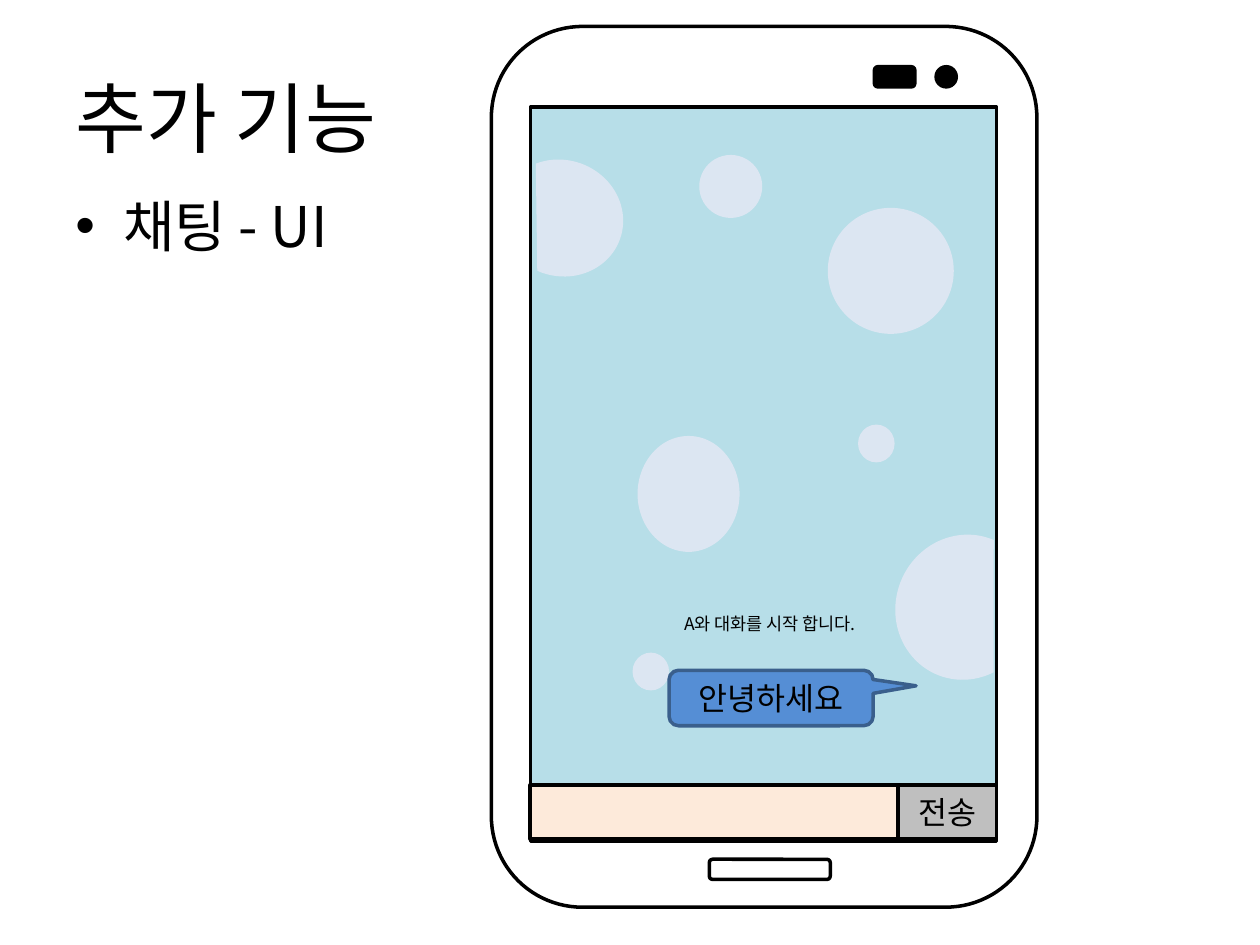
from pptx import Presentation
from pptx.dml.color import RGBColor
from pptx.enum.shapes import MSO_SHAPE as Kind
from pptx.enum.text import MSO_ANCHOR as Anchor, PP_ALIGN as Align
from pptx.oxml.ns import qn
from pptx.util import Inches, Pt
from lxml.etree import SubElement

THEME = {
    "font": "Noto Sans CJK KR",
    "ink": "000000", "paper": "FFFFFF", "sky": "B7DEE8", "bubble": "DCE6F2",
    "entry": "FDEADA", "send": "BFBFBF", "talk": "558ED5", "edge": "3A5F8C",
    "title": 44, "body": 32, "label": 18, "note": 10,
}

TITLE = ("추가 기능", (0.5, 0.3, 9, 1.25))
BODY = ("채팅 - UI", (0.5, 1.47, 9, 4.95))
NOTE = ("A와 대화를 시작 합니다.", (4.51, 4.82, 3.2, 0.27))

PHONE = [
    (Kind.ROUNDED_RECTANGLE, (3.9, 0.21, 4.33, 6.99), "paper", 2),
    (Kind.ROUNDED_RECTANGLE, (5.63, 6.82, 0.96, 0.16), "paper", 2),
    (Kind.OVAL, (7.43, 0.53, 0.16, 0.16), "ink", 2),
    (Kind.ROUNDED_RECTANGLE, (6.94, 0.53, 0.32, 0.16), "ink", 2),
    (Kind.RECTANGLE, (4.21, 0.85, 3.7, 5.83), "sky", 2),
    (Kind.RECTANGLE, (4.21, 6.23, 2.92, 0.43), "entry", 2.25),
]
BUBBLES = [
    (6.57, 1.65, 1, 1),
    (5.06, 3.46, 0.81, 0.92),
    (5.55, 1.23, 0.5, 0.5),
    (6.81, 3.37, 0.29, 0.3),
    (5.02, 5.18, 0.29, 0.3),
]
CUTS = [
    ((7.11, 4.24, 1.1, 1.16), 21.4, (27, 163.02)),
    ((3.96, 1.27, 0.99, 0.92), 199.9, (27, 164.72)),
]
SEND = ("전송", (7.13, 6.23, 0.78, 0.43))
TALK = ("안녕하세요", (5.31, 5.32, 1.62, 0.44), (0.71, -0.22, 0.17))


def color(name):
    return RGBColor.from_string(THEME[name])


def place(box):
    return [Inches(n) for n in box]


def write(shape, text, size, align=Align.LEFT, anchor=Anchor.MIDDLE, bullet=None):
    frame = shape.text_frame
    frame.word_wrap = True
    frame.vertical_anchor = anchor
    para = frame.paragraphs[0]
    para.text = text
    para.alignment = align
    if bullet:
        props = para._p.get_or_add_pPr()
        props.set("marL", str(Inches(0.38)))
        props.set("indent", str(-Inches(0.38)))
        SubElement(props, qn("a:buFont"), typeface="Arial")
        SubElement(props, qn("a:buChar"), char=bullet)
    font = para.font
    font.name = THEME["font"]
    font.size = Pt(THEME[size])
    font.color.rgb = color("ink")
    base = para._p.pPr.find(qn("a:defRPr"))
    SubElement(base, qn("a:ea"), typeface=THEME["font"])


def draw(shapes, kind, box, fill, width=0, edge="ink", adj=()):
    shape = shapes.add_shape(kind, *place(box))
    shape.shadow.inherit = False
    shape.fill.solid()
    shape.fill.fore_color.rgb = color(fill)
    if width:
        shape.line.color.rgb = color(edge)
        shape.line.width = Pt(width)
    else:
        shape.line.fill.background()
    for i, value in enumerate(adj):
        shape.adjustments[i] = value
    return shape


def main():
    deck = Presentation()
    deck.slide_width, deck.slide_height = Inches(10), Inches(7.5)
    slide = deck.slides.add_slide(deck.slide_layouts[6])
    shapes = slide.shapes

    text, box = TITLE
    write(shapes.add_textbox(*place(box)), text, "title")
    text, box = BODY
    write(shapes.add_textbox(*place(box)), text, "body", anchor=Anchor.TOP, bullet="•")

    phone = shapes.add_group_shape().shapes
    for kind, box, fill, width in PHONE:
        draw(phone, kind, box, fill, width)
    for box in BUBBLES:
        draw(phone, Kind.OVAL, box, "bubble")
    for box, turn, adj in CUTS:
        draw(phone, Kind.CHORD, box, "bubble", adj=adj).rotation = turn

    text, box = SEND
    write(draw(phone, Kind.RECTANGLE, box, "send", 2), text, "label", Align.CENTER)
    text, box, adj = TALK
    talk = draw(phone, Kind.ROUNDED_RECTANGULAR_CALLOUT, box, "talk", 2, "edge", adj)
    write(talk, text, "label", Align.CENTER)
    text, box = NOTE
    write(phone.add_textbox(*place(box)), text, "note", Align.CENTER, Anchor.TOP)

    deck.save("out.pptx")


if __name__ == "__main__":
    main()
